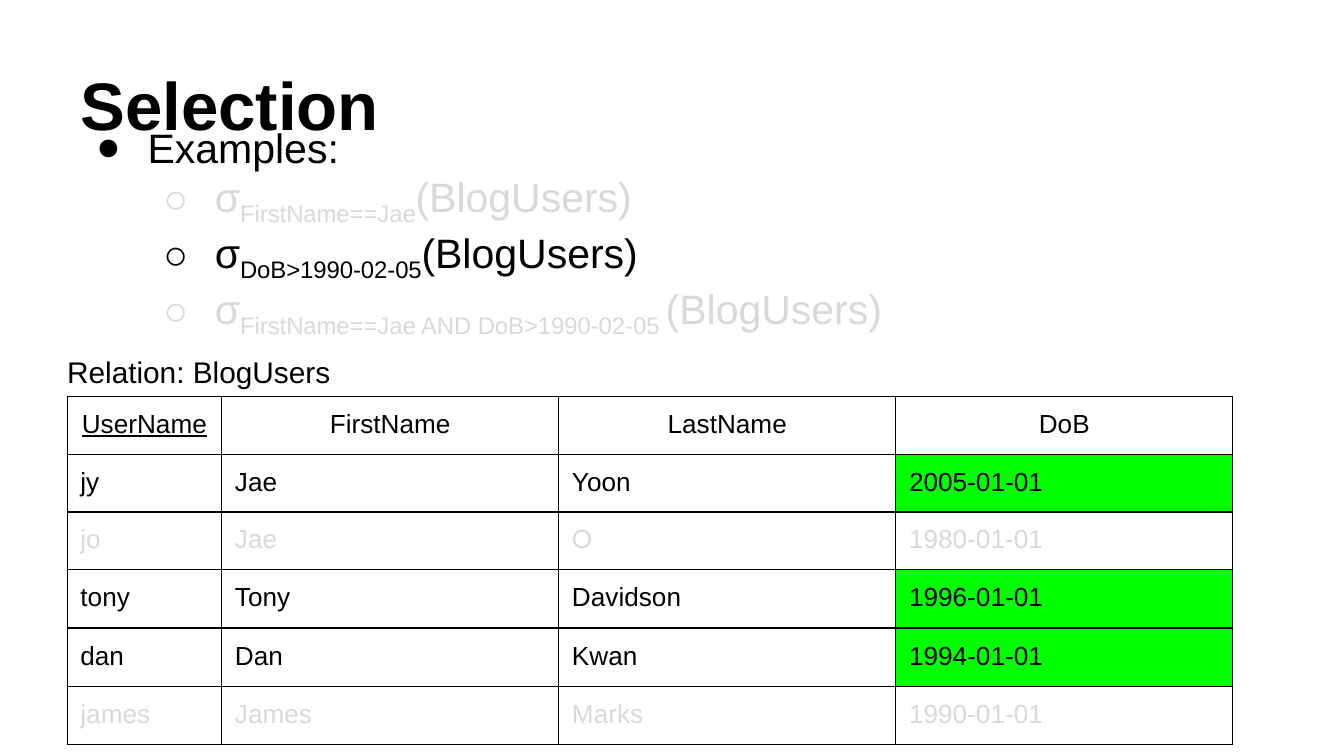
from dataclasses import dataclass

from lxml.etree import SubElement
from pptx import Presentation
from pptx.dml.color import RGBColor
from pptx.enum.text import MSO_ANCHOR, PP_ALIGN
from pptx.oxml.ns import qn
from pptx.util import Cm, Pt


@dataclass(frozen=True)
class Theme:
    font: str = "Arial"
    ink: str = "000000"
    faded: str = "D9D9D9"
    match: str = "00FF00"
    title_size: int = 36
    body_size: int = 22
    caption_size: int = 16
    cell_size: int = 14
    border: float = 0.75


THEME = Theme()
INSET = Cm(0.25)

# Content
TITLE = "Selection"
LEAD = "Examples:"
# (condition, relation, is the example under discussion)
EXAMPLES = [
    ("FirstName==Jae", "(BlogUsers)", False),
    ("DoB>1990-02-05", "(BlogUsers)", True),
    ("FirstName==Jae AND DoB>1990-02-05 ", "(BlogUsers)", False),
]
CAPTION = "Relation: BlogUsers"
COLUMNS = ["UserName", "FirstName", "LastName", "DoB"]
KEY_COLUMN = "UserName"
# (values, does the row satisfy the selection)
USERS = [
    (("jy", "Jae", "Yoon", "2005-01-01"), True),
    (("jo", "Jae", "O", "1980-01-01"), False),
    (("tony", "Tony", "Davidson", "1996-01-01"), True),
    (("dan", "Dan", "Kwan", "1994-01-01"), True),
    (("james", "James", "Marks", "1990-01-01"), False),
]
COLUMN_WIDTHS = [2.92] + [6.37] * 3
ROW_HEIGHTS = [0.71] * 3 + [1.1] * 3


def write(paragraph, text, size, color=THEME.ink, bold=False, underline=False,
          baseline=0):
    run = paragraph.add_run()
    run.text = text
    run.font.name = THEME.font
    run.font.size = Pt(size)
    run.font.bold = bold
    run.font.underline = underline
    run.font.color.rgb = RGBColor.from_string(color)
    if baseline:
        run.font._element.set("baseline", str(baseline * 1000))


def add_frame(slide, left, top, width, height, anchor=MSO_ANCHOR.TOP):
    frame = slide.shapes.add_textbox(
        Cm(left), Cm(top), Cm(width), Cm(height)).text_frame
    frame.word_wrap = True
    frame.vertical_anchor = anchor
    frame.margin_left = frame.margin_right = INSET
    frame.margin_top = frame.margin_bottom = INSET
    return frame


def set_bullet(paragraph, char, level, color):
    paragraph.level = level
    props = paragraph._p.get_or_add_pPr()
    props.set("marL", str(Cm(1.27 * (level + 1))))
    props.set("indent", str(Cm(-0.97)))
    bullet_color = SubElement(props, qn("a:buClr"))
    SubElement(bullet_color, qn("a:srgbClr"), val=color)
    SubElement(props, qn("a:buFont"), typeface=THEME.font)
    SubElement(props, qn("a:buChar"), char=char)


def set_borders(cell):
    props = cell._tc.get_or_add_tcPr()
    for position, side in enumerate(("lnL", "lnR", "lnT", "lnB")):
        line = props.makeelement(qn(f"a:{side}"), {"w": str(Pt(THEME.border))})
        fill = SubElement(line, qn("a:solidFill"))
        SubElement(fill, qn("a:srgbClr"), val=THEME.ink)
        props.insert(position, line)


def add_examples(slide):
    frame = add_frame(slide, 1.27, 2.06, 23.19, 4.45)
    lead = frame.paragraphs[0]
    lead.space_before = Pt(6)
    set_bullet(lead, "●", 0, THEME.ink)
    write(lead, LEAD, THEME.body_size)
    for condition, relation, active in EXAMPLES:
        color = THEME.ink if active else THEME.faded
        example = frame.add_paragraph()
        set_bullet(example, "○", 1, color)
        for text, baseline in (("σ", 0), (condition, -25), (relation, 0)):
            write(example, text, THEME.body_size, color=color, baseline=baseline)


def add_users(slide):
    rows = [(COLUMNS, None)] + USERS
    users = slide.shapes.add_table(
        len(rows), len(COLUMNS), Cm(1.27), Cm(7.49),
        Cm(sum(COLUMN_WIDTHS)), Cm(sum(ROW_HEIGHTS))).table
    users.first_row = users.horz_banding = False
    for column, width in zip(users.columns, COLUMN_WIDTHS):
        column.width = Cm(width)
    for r, (values, matches) in enumerate(rows):
        users.rows[r].height = Cm(ROW_HEIGHTS[r])
        for c, value in enumerate(values):
            cell = users.cell(r, c)
            cell.margin_left = cell.margin_right = INSET
            cell.margin_top = cell.margin_bottom = INSET
            if matches and COLUMNS[c] == "DoB":
                cell.fill.solid()
                cell.fill.fore_color.rgb = RGBColor.from_string(THEME.match)
            else:
                cell.fill.background()
            set_borders(cell)
            entry = cell.text_frame.paragraphs[0]
            entry.alignment = PP_ALIGN.CENTER if r == 0 else PP_ALIGN.LEFT
            write(entry, value, THEME.cell_size,
                  color=THEME.faded if matches is False else THEME.ink,
                  underline=r == 0 and value == KEY_COLUMN)


def main():
    deck = Presentation()
    deck.slide_width, deck.slide_height = Cm(25.4), Cm(14.29)
    slide = deck.slides.add_slide(deck.slide_layouts[6])

    # Selection examples
    add_examples(slide)

    # Title
    title = add_frame(slide, 1.27, 0.58, 22.86, 2.39, anchor=MSO_ANCHOR.BOTTOM)
    write(title.paragraphs[0], TITLE, THEME.title_size, bold=True)

    # Relation table and its caption
    add_users(slide)
    caption = add_frame(slide, 1.02, 6.43, 6.6, 1.55).paragraphs[0]
    caption.space_before = Pt(6)
    write(caption, CAPTION, THEME.caption_size)

    deck.save("out.pptx")


if __name__ == "__main__":
    main()
